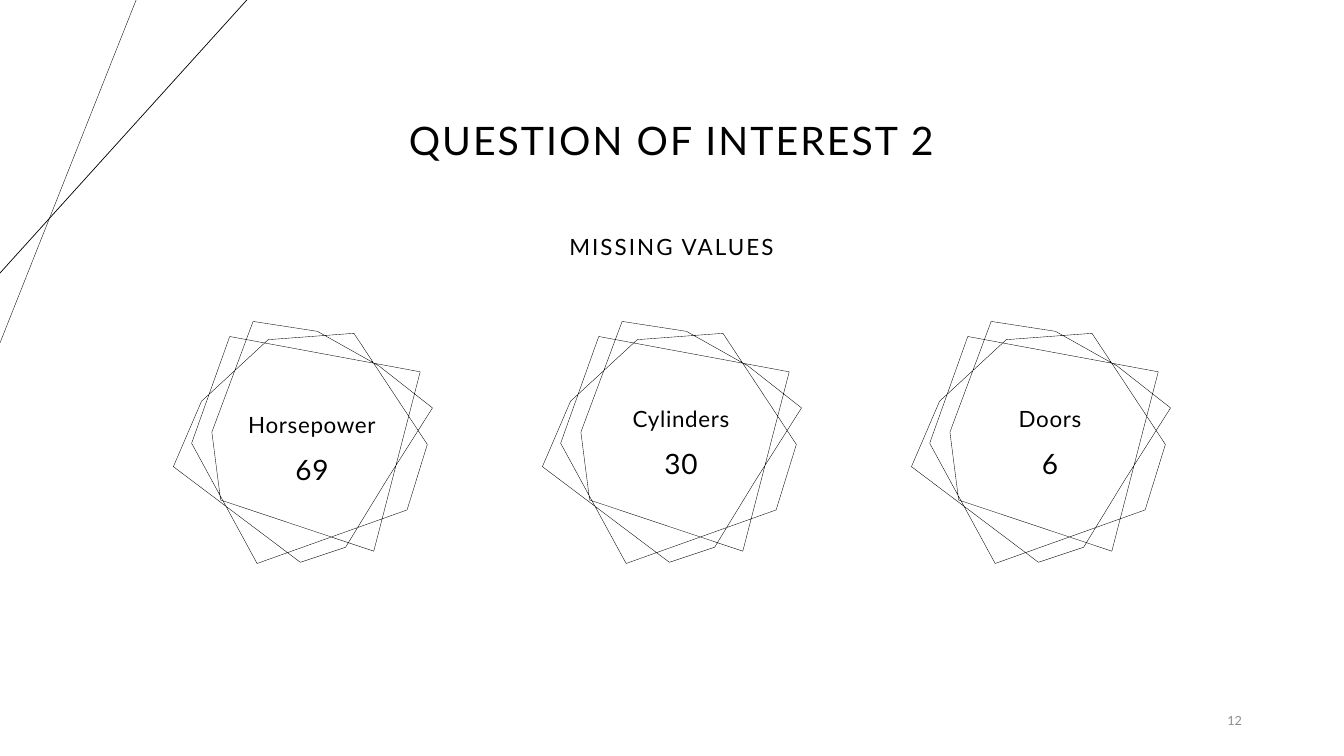
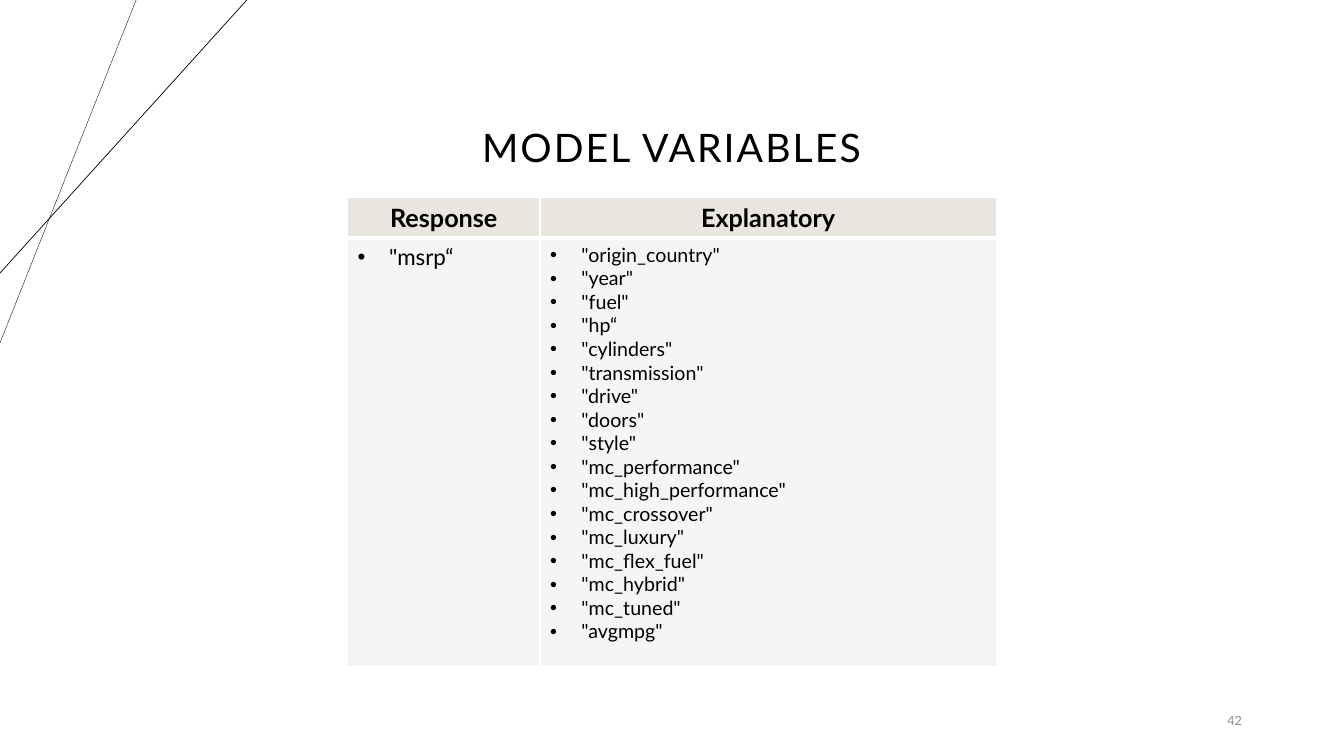
from dataclasses import dataclass
from lxml.etree import SubElement
from pptx import Presentation
from pptx.dml.color import RGBColor
from pptx.enum.text import MSO_ANCHOR, MSO_AUTO_SIZE, PP_ALIGN
from pptx.oxml.ns import qn
from pptx.util import Cm, Pt


@dataclass(frozen=True)
class Theme:
    """Colours, font and type sizes of the deck."""
    font: str = "Lato"
    ink: str = "000000"
    grey: str = "8C8C8C"
    white: str = "FFFFFF"
    head: str = "E9E6DF"
    cell: str = "F7F5F3"
    title: float = 28
    value: float = 20
    thead: float = 18
    label: float = 16
    item: float = 14
    note: float = 9
    wide: float = 1.5
    loose: float = 0.5
    hair: float = 0.25
    thin: float = 0.5


THEME = Theme()
WIDTH, HEIGHT = 33.87, 19.05
RAYS = [(3.43, 8.64, THEME.hair), (6.22, 6.88, THEME.thin)]
TITLE = (5.23, 1.75, 23.39, 3.68)
LOWER = (5.23, 1.93, 23.39, 3.68)
SUB = (5.23, 5.51, 23.39, 1.5)
NUMBER = (23.93, 17.65, 7.62, 1.02)
BADGES = (4.37, 8.1, 9.3)
GRID = (8.76, 4.98, (4.85, 11.5), (0.94, 10.8))
STAR = [
    (2.39, 0.46), (0.94, 1.8), (0.71, 2.01), (0, 3.66), (3.2, 6.07),
    (4.34, 5.69), (5.38, 3.99), (6.53, 2.18), (5.18, 1.12), (3.63, 0.25),
    (2.01, 0), (0.97, 2.79), (1.19, 4.5), (5.05, 5.79), (6.22, 1.27),
    (1.42, 0.38), (0.46, 3.07), (2.11, 6.1), (5.89, 4.75), (6.4, 3.1),
    (4.55, 0.3),
]
MISSING = [("Horsepower", "69", 1.42), ("Cylinders", "30", 1.27),
           ("Doors", "6", 1.27)]
RESPONSE = ['"msrp“']
FACTORS = [
    '"origin_country"', '"year"', '"fuel"', '"hp“', '"cylinders"',
    '"transmission"', '"drive"', '"doors"', '"style"', '"mc_performance"',
    '"mc_high_performance"', '"mc_crossover"', '"mc_luxury"',
    '"mc_flex_fuel"', '"mc_hybrid"', '"mc_tuned"', '"avgmpg"',
]


def apply(target, values):
    """Set each named value on the target."""
    for name, value in values.items():
        setattr(target, name, value)


def lengths(box):
    """Turn a box in centimetres into slide lengths."""
    return [Cm(n) for n in box]


def write(para, text, size, spread=0, color=THEME.ink, bold=False, **layout):
    """Write one styled run and set the paragraph's layout."""
    apply(para, layout)
    run = para.add_run()
    run.text = text
    apply(run.font, {"name": THEME.font, "size": Pt(size), "bold": bold})
    run.font.color.rgb = RGBColor.from_string(color)
    if spread:
        run.font._element.set("spc", str(int(spread * 100)))


def frame(shape):
    """Make a shape's text wrap and sit in the middle."""
    apply(shape.text_frame, {
        "word_wrap": True,
        "auto_size": MSO_AUTO_SIZE.NONE,
        "vertical_anchor": MSO_ANCHOR.MIDDLE,
    })
    return shape.text_frame


def label(slide, box, text, size, **style):
    """Place one line of text in a box."""
    area = frame(slide.shapes.add_textbox(*lengths(box)))
    write(area.paragraphs[0], text, size, **style)


def rays(slide, layout):
    """Draw the corner lines and hand them to the shared layout."""
    for right, low, weight in RAYS:
        ray = slide.shapes.add_connector(1, Cm(right), 0, 0, Cm(low))
        ray.line.width = Pt(weight)
        ray.line.color.rgb = RGBColor.from_string(THEME.ink)
        SubElement(ray.element.spPr, qn("a:effectLst"))
        layout.shapes.element.append(ray.element)


def start(deck, layout, title, box, number):
    """Add a slide with its title and number."""
    slide = deck.slides.add_slide(layout)
    head = slide.shapes.title
    apply(head, dict(zip(("left", "top", "width", "height"), lengths(box))))
    write(frame(head).paragraphs[0], title, THEME.title, THEME.wide,
          alignment=PP_ALIGN.CENTER, line_spacing=0.9)
    label(slide, NUMBER, number, THEME.note, color=THEME.grey,
          alignment=PP_ALIGN.RIGHT)
    return slide


def badge(slide, left, top, name, count, drop):
    """Draw a star outline around a name and its count."""
    points = [lengths(point) for point in STAR]
    pen = slide.shapes.build_freeform(*points[0])
    pen.add_line_segments(points[1:], close=True)
    star = pen.convert_to_shape(Cm(left), Cm(top))
    star.shadow.inherit = False
    star.fill.background()
    star.line.width = Pt(THEME.hair)
    star.line.color.rgb = RGBColor.from_string(THEME.ink)
    box = slide.shapes.add_textbox(
        *lengths((left + 1.45, top + drop, 4.09, 3.56)))
    area = frame(box)
    write(area.paragraphs[0], name, THEME.label, THEME.loose,
          alignment=PP_ALIGN.CENTER)
    write(area.add_paragraph(), count, THEME.value, THEME.loose,
          alignment=PP_ALIGN.CENTER, space_before=Pt(10))


def bullet(para):
    """Give a paragraph a bullet and a hanging indent."""
    props = para._p.get_or_add_pPr()
    props.set("marL", str(Cm(0.79)))
    props.set("indent", str(-Cm(0.79)))
    SubElement(props, qn("a:buFont"), typeface="Arial")
    SubElement(props, qn("a:buChar"), char="•")


def paint(cell, color, base):
    """Give a cell white borders and a fill."""
    props = cell._tc.get_or_add_tcPr()
    for side, weight in zip("LRTB", (1, 1, 1, base)):
        edge = SubElement(props, qn(f"a:ln{side}"), w=str(Pt(weight)))
        fill = SubElement(edge, qn("a:solidFill"))
        SubElement(fill, qn("a:srgbClr"), val=THEME.white)
    cell.fill.solid()
    cell.fill.fore_color.rgb = RGBColor.from_string(color)


def grid(slide, left, top, widths, heights, columns):
    """Place a table of headed bullet lists."""
    box = lengths((left, top, sum(widths), sum(heights)))
    table = slide.shapes.add_table(2, len(columns), *box).table
    table.horz_banding = False
    for row, height in zip(table.rows, heights):
        row.height = Cm(height)
    for col, (name, items, size) in enumerate(columns):
        table.columns[col].width = Cm(widths[col])
        head, body = table.cell(0, col), table.cell(1, col)
        paint(head, THEME.head, 3)
        paint(body, THEME.cell, 1)
        write(head.text_frame.paragraphs[0], name, THEME.thead, bold=True,
              alignment=PP_ALIGN.CENTER)
        area = body.text_frame
        for row, item in enumerate(items):
            para = area.add_paragraph() if row else area.paragraphs[0]
            bullet(para)
            write(para, item, size)


def missing(deck, layout):
    """Build the slide of missing values."""
    slide = start(deck, layout, "QUESTION OF INTEREST 2", TITLE, "12")
    rays(slide, layout)
    left, top, pitch = BADGES
    for col, (name, count, drop) in enumerate(MISSING):
        badge(slide, left + col * pitch, top, name, count, drop)
    label(slide, SUB, "MISSING VALUES", THEME.label, spread=THEME.wide,
          alignment=PP_ALIGN.CENTER, line_spacing=0.9)


def model(deck, layout):
    """Build the slide of model variables."""
    slide = start(deck, layout, "MODEL VARIABLES", LOWER, "42")
    grid(slide, *GRID, [("Response", RESPONSE, THEME.label),
                        ("Explanatory", FACTORS, THEME.item)])


def main():
    """Build and save the deck."""
    deck = Presentation()
    apply(deck, {"slide_width": Cm(WIDTH), "slide_height": Cm(HEIGHT)})
    layout = deck.slide_layouts[5]
    missing(deck, layout)
    model(deck, layout)
    deck.save("out.pptx")


if __name__ == "__main__":
    main()
